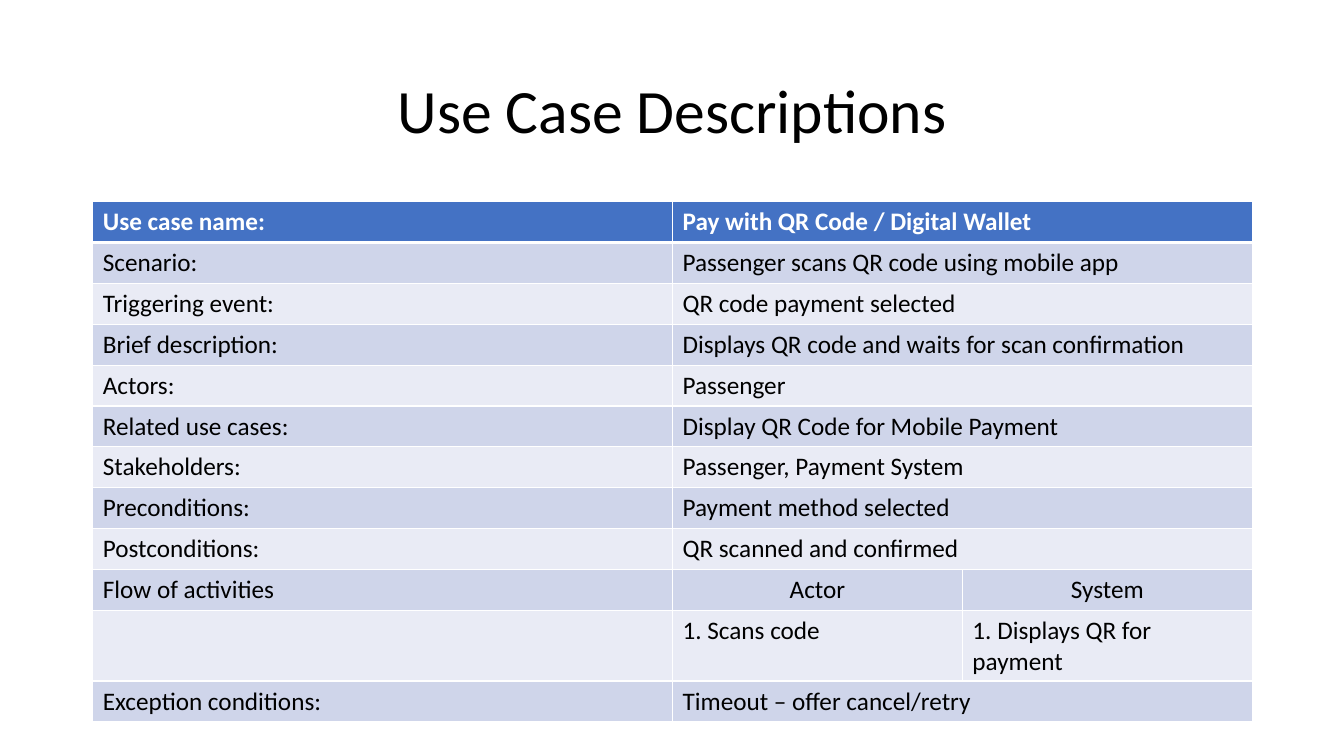
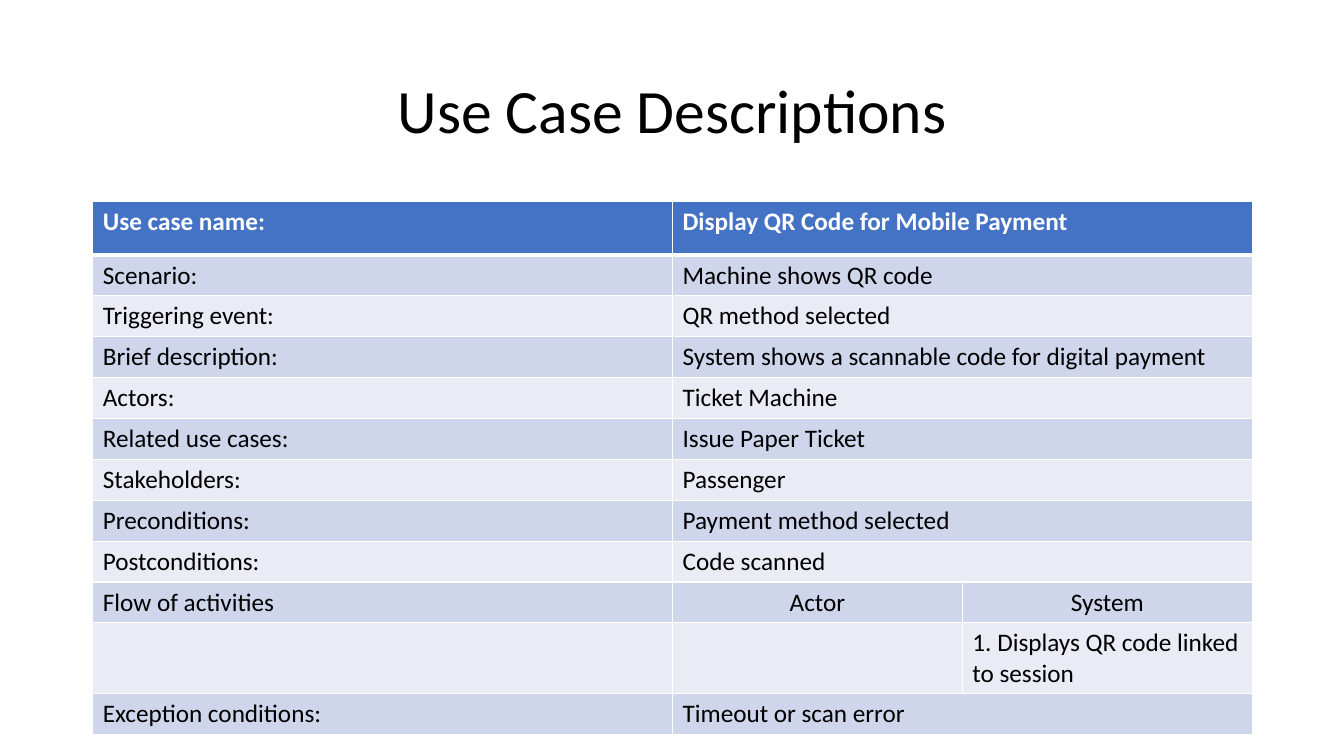
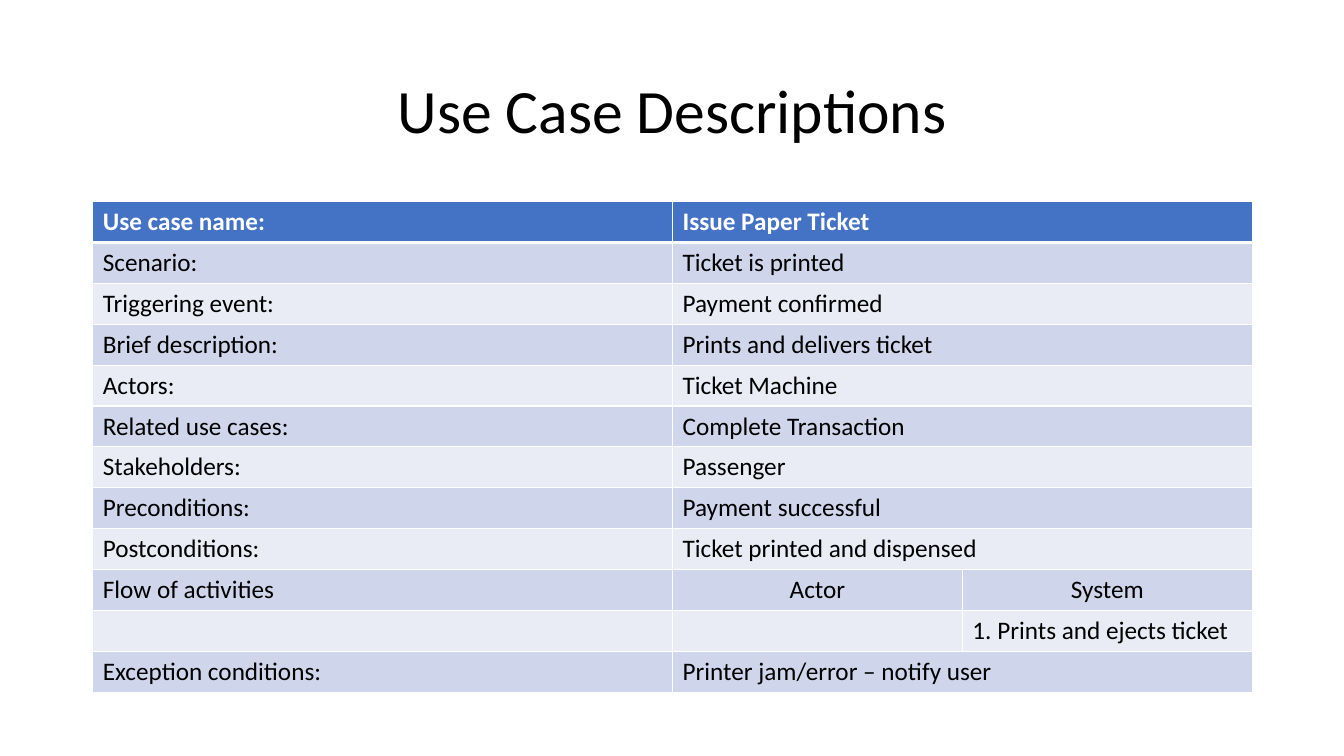
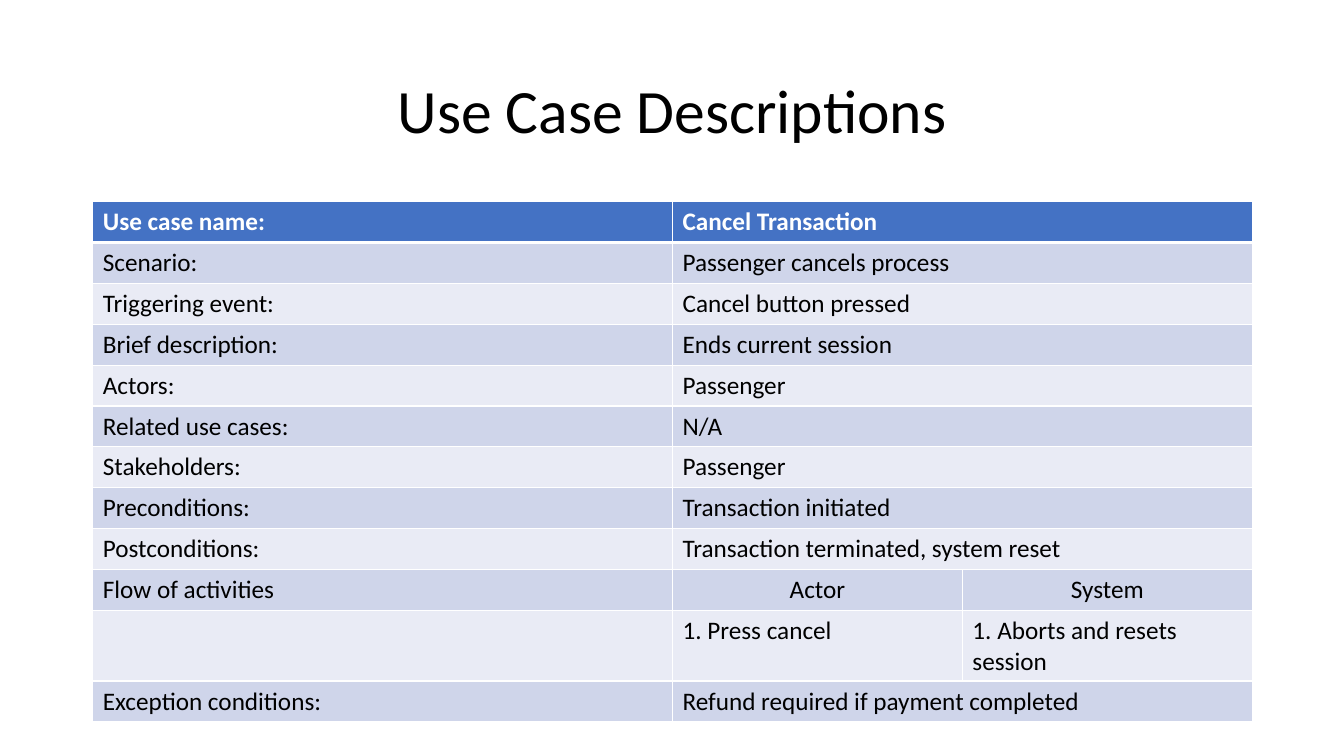
from lxml import etree
from pptx import Presentation
from pptx.dml.color import RGBColor
from pptx.enum.text import MSO_ANCHOR, PP_ALIGN
from pptx.oxml.ns import qn
from pptx.util import Inches, Pt

CENTER, LEFT = PP_ALIGN.CENTER, PP_ALIGN.LEFT
MIDDLE = MSO_ANCHOR.MIDDLE

TITLE = "Use Case Descriptions"
FONT = "Calibri"
COLORS = {
    "header": "4472C4",
    "band_dark": "CFD5EA",
    "band_light": "E9EBF5",
    "border": "FFFFFF",
    "header_text": "FFFFFF",
    "text": "000000",
}

LABELS = [
    "Use case name:", "Scenario:", "Triggering event:", "Brief description:",
    "Actors:", "Related use cases:", "Stakeholders:", "Preconditions:",
    "Postconditions:", "Flow of activities", "", "Exception conditions:",
]
FLOW_HEADS = ("Actor", "System")

# One value per label; a pair fills the actor and system columns.
USE_CASES = [
    ["Pay with QR Code / Digital Wallet",
     "Passenger scans QR code using mobile app",
     "QR code payment selected",
     "Displays QR code and waits for scan confirmation",
     "Passenger",
     "Display QR Code for Mobile Payment",
     "Passenger, Payment System",
     "Payment method selected",
     "QR scanned and confirmed",
     FLOW_HEADS,
     ("1. Scans code", "1. Displays QR for payment"),
     "Timeout – offer cancel/retry"],
    ["Display QR Code for Mobile Payment",
     "Machine shows QR code",
     "QR method selected",
     "System shows a scannable code for digital payment",
     "Ticket Machine",
     "Issue Paper Ticket",
     "Passenger",
     "Payment method selected",
     "Code scanned",
     FLOW_HEADS,
     ("", "1. Displays QR code linked to session"),
     "Timeout or scan error"],
    ["Issue Paper Ticket",
     "Ticket is printed",
     "Payment confirmed",
     "Prints and delivers ticket",
     "Ticket Machine",
     "Complete Transaction",
     "Passenger",
     "Payment successful",
     "Ticket printed and dispensed",
     FLOW_HEADS,
     ("", "1. Prints and ejects ticket"),
     "Printer jam/error – notify user"],
    ["Cancel Transaction",
     "Passenger cancels process",
     "Cancel button pressed",
     "Ends current session",
     "Passenger",
     "N/A",
     "Passenger",
     "Transaction initiated",
     "Transaction terminated, system reset",
     FLOW_HEADS,
     ("1. Press cancel", "1. Aborts and resets session"),
     "Refund required if payment completed"],
]
HEADER_HEIGHTS = {1: Inches(0.53)}  # use cases with a taller header row

MARGIN, WIDTH = Inches(0.92), Inches(11.5)
TITLE_TOP, TITLE_HEIGHT = Inches(0.4), Inches(1.45)
TABLE_TOP, TABLE_HEIGHT = Inches(2), Inches(4.87)
ROW_HEIGHT = TABLE_HEIGHT // len(LABELS)
COLUMN_SHARES = (2, 1, 1)


def style_text(p, size, color, bold=False, align=LEFT):
    p.alignment = align
    for r in p.runs:
        r.font.name, r.font.size, r.font.bold = FONT, Pt(size), bold
        r.font.color.rgb = RGBColor.from_string(COLORS[color])


def set_borders(cell, row):
    """White 1 pt lines, with a 3 pt line under the header row."""
    widths = {"L": 1, "R": 1, "T": 3 if row == 1 else 1, "B": 3 if row == 0 else 1}
    tcPr = cell._tc.get_or_add_tcPr()
    for side, width in widths.items():
        ln = etree.SubElement(tcPr, qn(f"a:ln{side}"), w=str(Pt(width)))
        fill = etree.SubElement(ln, qn("a:solidFill"))
        etree.SubElement(fill, qn("a:srgbClr"), val=COLORS["border"])


def row_fill(row):
    if row == 0:
        return "header"
    return "band_dark" if row % 2 else "band_light"


def add_title(s):
    tf = s.shapes.add_textbox(MARGIN, TITLE_TOP, WIDTH, TITLE_HEIGHT).text_frame
    tf.word_wrap = True
    tf.vertical_anchor = MIDDLE
    tf.text = TITLE
    p = tf.paragraphs[0]
    p.line_spacing = 0.9
    style_text(p, 44, "text", align=CENTER)


def add_use_case_table(s, values, header_height):
    table = s.shapes.add_table(len(LABELS), len(COLUMN_SHARES), MARGIN, TABLE_TOP,
                               WIDTH, TABLE_HEIGHT).table
    for column, share in zip(table.columns, COLUMN_SHARES):
        column.width = WIDTH * share // sum(COLUMN_SHARES)
    for row, (label, value) in enumerate(zip(LABELS, values)):
        table.rows[row].height = header_height if row == 0 else ROW_HEIGHT
        split = isinstance(value, tuple)
        texts = (label, *value) if split else (label, value, "")
        for col, text in enumerate(texts):
            cell = table.cell(row, col)
            set_borders(cell, row)
            cell.fill.solid()
            cell.fill.fore_color.rgb = RGBColor.from_string(COLORS[row_fill(row)])
            cell.text = text
            style_text(cell.text_frame.paragraphs[0], 18,
                       "text" if row else "header_text", bold=row == 0,
                       align=CENTER if value is FLOW_HEADS and col else LEFT)
        if not split:
            table.cell(row, 1).merge(table.cell(row, 2))


def main():
    prs = Presentation()
    prs.slide_width, prs.slide_height = Inches(13.33), Inches(7.5)
    blank = prs.slide_layouts[6]
    for i, values in enumerate(USE_CASES):
        s = prs.slides.add_slide(blank)
        add_title(s)
        add_use_case_table(s, values, HEADER_HEIGHTS.get(i, ROW_HEIGHT))
    prs.save("out.pptx")


if __name__ == "__main__":
    main()
